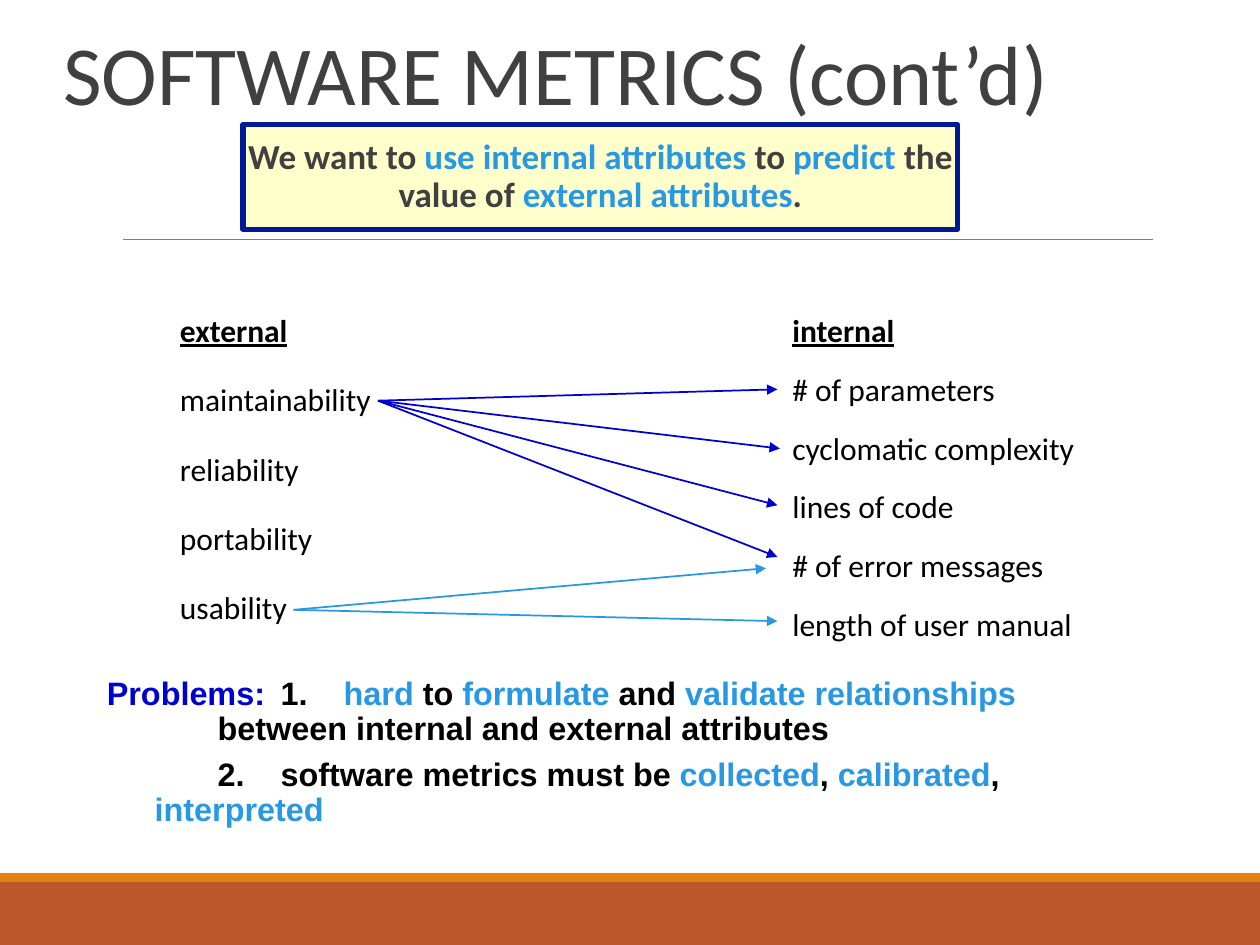
from lxml import etree
from pptx import Presentation
from pptx.dml.color import RGBColor
from pptx.enum.shapes import MSO_CONNECTOR, MSO_SHAPE
from pptx.enum.text import MSO_ANCHOR, MSO_AUTO_SIZE, PP_ALIGN
from pptx.oxml.ns import qn
from pptx.util import Inches, Pt

STRAIGHT = MSO_CONNECTOR.STRAIGHT
RECTANGLE = MSO_SHAPE.RECTANGLE
BOTTOM, MIDDLE, TOP = MSO_ANCHOR.BOTTOM, MSO_ANCHOR.MIDDLE, MSO_ANCHOR.TOP
NO_AUTOFIT = MSO_AUTO_SIZE.NONE
FIT_SHAPE = MSO_AUTO_SIZE.SHAPE_TO_FIT_TEXT
LEFT, CENTER = PP_ALIGN.LEFT, PP_ALIGN.CENTER

BLACK = RGBColor(0x00, 0x00, 0x00)
CHARCOAL = RGBColor(0x40, 0x40, 0x40)
GRAY = RGBColor(0x7F, 0x7F, 0x7F)
BLUE = RGBColor(0x01, 0x01, 0xCF)
SKY = RGBColor(0x29, 0x98, 0xE3)
NAVY = RGBColor(0x00, 0x19, 0x99)
CREAM = RGBColor(0xFF, 0xFF, 0xCC)
RUST = RGBColor(0xBD, 0x58, 0x2C)
ORANGE = RGBColor(0xE4, 0x83, 0x12)

TITLE = "SOFTWARE METRICS (cont’d)"
GOAL = [
    ("We want to ", CHARCOAL), ("use internal attributes", SKY),
    (" to ", CHARCOAL), ("predict", SKY), (" the value of ", CHARCOAL),
    ("external attributes", SKY), (".", CHARCOAL),
]
PROBLEMS = [
    [
        ("Problems:\t", BLUE), ("1.\t", BLACK), ("hard", SKY), (" to ", BLACK),
        ("formulate", SKY), (" and ", BLACK), ("validate relationships", SKY),
        ("\v", BLACK), ("\tbetween internal and external attributes", BLACK),
    ],
    [
        ("\t\t2.\tsoftware metrics must be ", BLACK), ("collected", SKY),
        (", ", BLACK), ("calibrated", SKY), (", ", BLACK), ("interpreted", SKY),
    ],
]
COLUMNS = [
    ((1.33, 2.42, 1.72, 2.6), 18,
     ["external", "maintainability", "reliability", "portability", "usability"]),
    ((6.19, 2.42, 2.45, 2.74), 12,
     ["internal", "# of parameters", "cyclomatic complexity", "lines of code",
      "# of error messages", "length of user manual"]),
]
ARROWS = [
    ((3, 3.18), BLUE, [(6.17, 3.09), (6.19, 3.56), (6.17, 4.01), (6.17, 4.42)]),
    ((2.33, 4.84), SKY, [(6.08, 4.51), (6.17, 4.93)]),
]


def style_font(font, name, size, color, bold=False, underline=False):
    font.name = name
    font.size = Pt(size)
    font.color.rgb = color
    font.bold = bold
    font.underline = underline


def add_runs(paragraph, pieces, name, size):
    for text, color in pieces:
        if text == "\v":
            paragraph.add_line_break()
            continue
        run = paragraph.add_run()
        run.text = text
        style_font(run.font, name, size, color, bold=True)


def add_rectangle(slide, box, fill):
    shape = slide.shapes.add_shape(RECTANGLE, *map(Inches, box))
    shape.shadow.inherit = False
    shape.fill.solid()
    shape.fill.fore_color.rgb = fill
    shape.line.fill.background()
    return shape


def add_line(slide, start, end, color, width, arrow=False):
    points = [Inches(value) for value in (*start, *end)]
    connector = slide.shapes.add_connector(STRAIGHT, *points)
    connector.line.color.rgb = color
    connector.line.width = Pt(width)
    if arrow:
        etree.SubElement(connector.line._get_or_add_ln(), qn("a:tailEnd"), type="triangle")
    etree.SubElement(connector._element.spPr, qn("a:effectLst"))


def add_title(slide):
    title = slide.shapes.title
    title.left, title.top, title.width, title.height = map(Inches, (0.4, 0.07, 8.25, 0.95))
    frame = title.text_frame
    frame.text = TITLE
    frame.auto_size = NO_AUTOFIT
    frame.vertical_anchor = BOTTOM
    paragraph = frame.paragraphs[0]
    paragraph.alignment = LEFT
    paragraph.line_spacing = 0.85
    style_font(paragraph.runs[0].font, "Calibri", 48, CHARCOAL)


def add_goal(slide):
    shape = add_rectangle(slide, (1.93, 0.99, 5.67, 0.83), CREAM)
    shape.line.color.rgb = NAVY
    shape.line.width = Pt(3)
    frame = shape.text_frame
    frame.word_wrap = True
    frame.margin_left = frame.margin_right = 0
    frame.vertical_anchor = MIDDLE
    paragraph = frame.paragraphs[0]
    paragraph.alignment = CENTER
    paragraph.line_spacing = 0.9
    add_runs(paragraph, GOAL, "Calibri", 20)


def add_problems(slide):
    frame = slide.shapes.add_textbox(*map(Inches, (0.75, 5.33, 8.5, 1.5))).text_frame
    frame.word_wrap = True
    for index, pieces in enumerate(PROBLEMS):
        paragraph = frame.add_paragraph() if index else frame.paragraphs[0]
        properties = paragraph._p.get_or_add_pPr()
        properties.set("marL", str(Inches(0.38)))
        properties.set("indent", str(-Inches(0.38)))
        paragraph.line_spacing = 0.9
        if index:
            paragraph.space_before = Pt(6)
        add_runs(paragraph, pieces, "Arial", 18.5)


def add_column(slide, box, gap, entries):
    frame = slide.shapes.add_textbox(*map(Inches, box)).text_frame
    frame.word_wrap = False
    frame.auto_size = FIT_SHAPE
    frame.vertical_anchor = TOP
    frame.text = "\n".join(entries)
    for index, paragraph in enumerate(frame.paragraphs):
        heading = index == 0
        if not heading:
            paragraph.space_before = Pt(gap)
        style_font(paragraph.runs[0].font, "Calibri", 18, BLACK, heading, heading)


def main():
    presentation = Presentation()
    presentation.slide_width = Inches(10)
    presentation.slide_height = Inches(7.5)
    slide = presentation.slides.add_slide(presentation.slide_layouts[5])

    add_rectangle(slide, (0, 7, 10, 0.5), RUST)
    add_rectangle(slide, (0, 6.93, 10, 0.07), ORANGE)
    add_line(slide, (0.98, 1.9), (9.15, 1.9), GRAY, 0.5)
    add_title(slide)
    add_goal(slide)
    add_problems(slide)
    for box, gap, entries in COLUMNS:
        add_column(slide, box, gap, entries)
    for start, color, ends in ARROWS:
        for end in ends:
            add_line(slide, start, end, color, 1, arrow=True)

    presentation.save("out.pptx")


if __name__ == "__main__":
    main()
